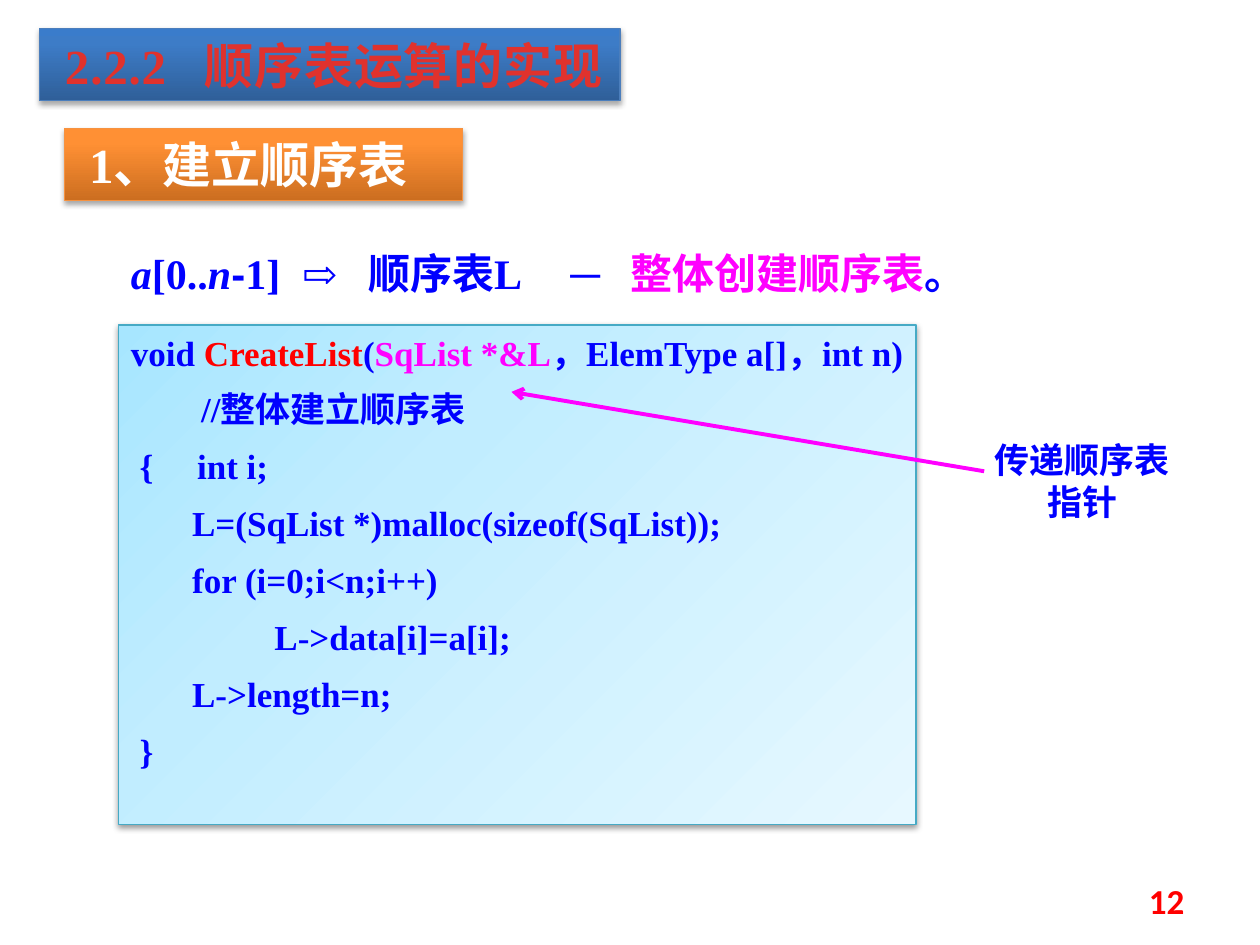
from dataclasses import dataclass
from typing import Optional

from lxml import etree
from pptx import Presentation
from pptx.dml.color import RGBColor
from pptx.enum import shapes, text
from pptx.oxml.ns import qn
from pptx.util import Cm, Pt

BLUE = RGBColor(0x00, 0x00, 0xFF)
RED = RGBColor(0xFF, 0x00, 0x00)
MAGENTA = RGBColor(0xFF, 0x00, 0xFF)
WHITE = RGBColor(0xFF, 0xFF, 0xFF)
BRICK = RGBColor(0xE0, 0x32, 0x2D)
BLUE_EDGE = RGBColor(0x4B, 0x7E, 0xBC)
ORANGE_EDGE = RGBColor(0xF6, 0x92, 0x40)
CYAN_EDGE = RGBColor(0x46, 0xAA, 0xC5)
SERIF = "Times New Roman"


@dataclass
class Box:
    left: float
    top: float
    width: float
    height: float

    def lengths(self):
        return Cm(self.left), Cm(self.top), Cm(self.width), Cm(self.height)


@dataclass
class Panel:
    stops: list[tuple[int, str]]
    angle: int
    edge: RGBColor
    shadow_opacity: int
    shadow_distance: float


@dataclass
class Piece:
    """A stretch of text with its own look."""
    words: str
    color: Optional[RGBColor] = None
    italic: Optional[bool] = None
    font: Optional[str] = None


def add_xml(parent, tag: str, **attributes):
    return etree.SubElement(parent, qn(tag), {k: str(v) for k, v in attributes.items()})


def paint_panel(shape, panel: Panel) -> None:
    """Give the shape its gradient, thin edge and soft shadow below."""
    shape.fill.gradient()
    shape.fill.gradient_angle = 360 - panel.angle
    stop_list = shape._element.spPr.find(qn("a:gradFill")).find(qn("a:gsLst"))
    for stop in list(stop_list):
        stop_list.remove(stop)
    for position, color in panel.stops:
        add_xml(add_xml(stop_list, "a:gs", pos=position * 1000), "a:srgbClr", val=color)
    shape.line.color.rgb = panel.edge
    shape.line.width = Pt(0.75)
    shape.shadow.inherit = False
    effects = shape._element.spPr.find(qn("a:effectLst"))
    shadow = add_xml(effects, "a:outerShdw", blurRad=Pt(3.1), dist=Pt(panel.shadow_distance),
                     dir=90 * 60000, rotWithShape=0)
    add_xml(add_xml(shadow, "a:srgbClr", val="000000"), "a:alpha",
            val=panel.shadow_opacity * 1000)


def set_tabs(paragraph, positions: list[float]) -> None:
    tabs = add_xml(paragraph._p.get_or_add_pPr(), "a:tabLst")
    for position in positions:
        add_xml(tabs, "a:tab", pos=Cm(position), algn="l")


def style(paragraph, size: float, color: RGBColor, font: str = SERIF, bold: bool = True,
          align=text.PP_ALIGN.LEFT) -> None:
    paragraph.alignment = align
    paragraph.font.size = Pt(size)
    paragraph.font.name = font
    paragraph.font.bold = bold
    paragraph.font.color.rgb = color


def write(paragraph, pieces: list[Piece]) -> None:
    for piece in pieces:
        run = paragraph.add_run()
        run.text = piece.words
        if piece.color is not None:
            run.font.color.rgb = piece.color
        if piece.italic is not None:
            run.font.italic = piece.italic
        if piece.font is not None:
            run.font.name = piece.font


def prepare_frame(shape, anchor=text.MSO_ANCHOR.TOP, left_margin: float = 0.25):
    frame = shape.text_frame
    frame.word_wrap = True
    frame.auto_size = text.MSO_AUTO_SIZE.NONE
    frame.vertical_anchor = anchor
    frame.margin_left = Cm(left_margin)
    return frame


def add_panel(slide, box: Box, panel: Panel):
    shape = slide.shapes.add_shape(shapes.MSO_SHAPE.RECTANGLE, *box.lengths())
    paint_panel(shape, panel)
    return shape


def add_arrow(slide, start: tuple[float, float], end: tuple[float, float]) -> None:
    arrow = slide.shapes.add_connector(
        shapes.MSO_CONNECTOR.STRAIGHT, *(Cm(v) for v in start + end))
    arrow.line.color.rgb = MAGENTA
    arrow.line.width = Pt(2.25)
    add_xml(arrow.line._get_or_add_ln(), "a:tailEnd", type="arrow")
    add_xml(arrow._element.spPr, "a:effectLst")


BLUE_PANEL = Panel([(0, "2F5F99"), (80, "3D7CC7"), (100, "3A7CCB")], 270, BLUE_EDGE, 35, 1.8)
ORANGE_PANEL = Panel([(0, "CC6E20"), (80, "FF9034"), (100, "FF9136")], 270, ORANGE_EDGE, 35, 1.8)
CODE_PANEL = Panel([(0, "A7E6FF"), (35, "C1EDFF"), (100, "E7F8FF")], 45, CYAN_EDGE, 38, 1.6)

FORMULA = [
    Piece("a", italic=True), Piece("[0.."), Piece("n", italic=True), Piece("-", font="Arial"),
    Piece("1]\t⇨\t顺序表L\t─\t"), Piece("整体创建顺序表", MAGENTA), Piece("。"),
]
CODE = [
    [Piece("void "), Piece("CreateList", RED), Piece("("), Piece("SqList *&L", MAGENTA),
     Piece("，ElemType a[]，int n)")],
    [Piece("　　//整体建立顺序表")],
    [Piece(" {     int i;")],
    [Piece("       L=(SqList *)malloc(sizeof(SqList));")],
    [Piece("       for (i=0;i<n;i++)")],
    [Piece("\t  L->data[i]=a[i];")],
    [Piece("       L->length=n;")],
    [Piece(" }")],
]


def main() -> None:
    prs = Presentation()
    prs.slide_width, prs.slide_height = Cm(25.4), Cm(19.05)
    slide = prs.slides.add_slide(prs.slide_layouts[5])

    title = slide.shapes.title
    title.left, title.top, title.width, title.height = Box(0.79, 0.58, 11.71, 1.45).lengths()
    paint_panel(title, BLUE_PANEL)
    heading = prepare_frame(title, left_margin=0.52).paragraphs[0]
    set_tabs(heading, [2.82])
    style(heading, 28, BRICK)
    write(heading, [Piece("2.2.2\t顺序表运算的实现")])
    heading.runs[0].font._element.set("spc", "50")

    section = add_panel(slide, Box(1.3, 2.59, 8.03, 1.45), ORANGE_PANEL)
    subheading = prepare_frame(section, left_margin=0.5).paragraphs[0]
    style(subheading, 28, WHITE)
    write(subheading, [Piece("1、建立顺序表")])

    formula_box = slide.shapes.add_textbox(*Box(2.39, 4.67, 18.64, 1.5).lengths())
    formula = prepare_frame(formula_box).paragraphs[0]
    formula.line_spacing = 1.2
    set_tabs(formula, [3.45, 4.78, 8.86, 10.08])
    style(formula, 24, BLUE)
    write(formula, FORMULA)

    code = prepare_frame(add_panel(slide, Box(2.39, 6.55, 16.08, 10.08), CODE_PANEL))
    for number, line in enumerate(CODE):
        paragraph = code.add_paragraph() if number else code.paragraphs[0]
        if number:
            paragraph.space_before = Pt(8.5)
        set_tabs(paragraph, [2.54])
        style(paragraph, 20, BLUE)
        write(paragraph, line)

    add_arrow(slide, (19.84, 9.5), (10.31, 7.9))
    note_box = slide.shapes.add_textbox(*Box(19.63, 8.71, 4.37, 1.96).lengths())
    note = prepare_frame(note_box).paragraphs[0]
    style(note, 20, BLUE, "Noto Sans CJK SC", align=text.PP_ALIGN.CENTER)
    write(note, [Piece("传递顺序表指针")])

    number_box = slide.shapes.add_textbox(*Box(18.21, 17.65, 5.92, 1.02).lengths())
    page = prepare_frame(number_box, text.MSO_ANCHOR.MIDDLE).paragraphs[0]
    style(page, 20, RED, "Calibri", align=text.PP_ALIGN.RIGHT)
    write(page, [Piece("12")])

    prs.save("out.pptx")


if __name__ == "__main__":
    main()
